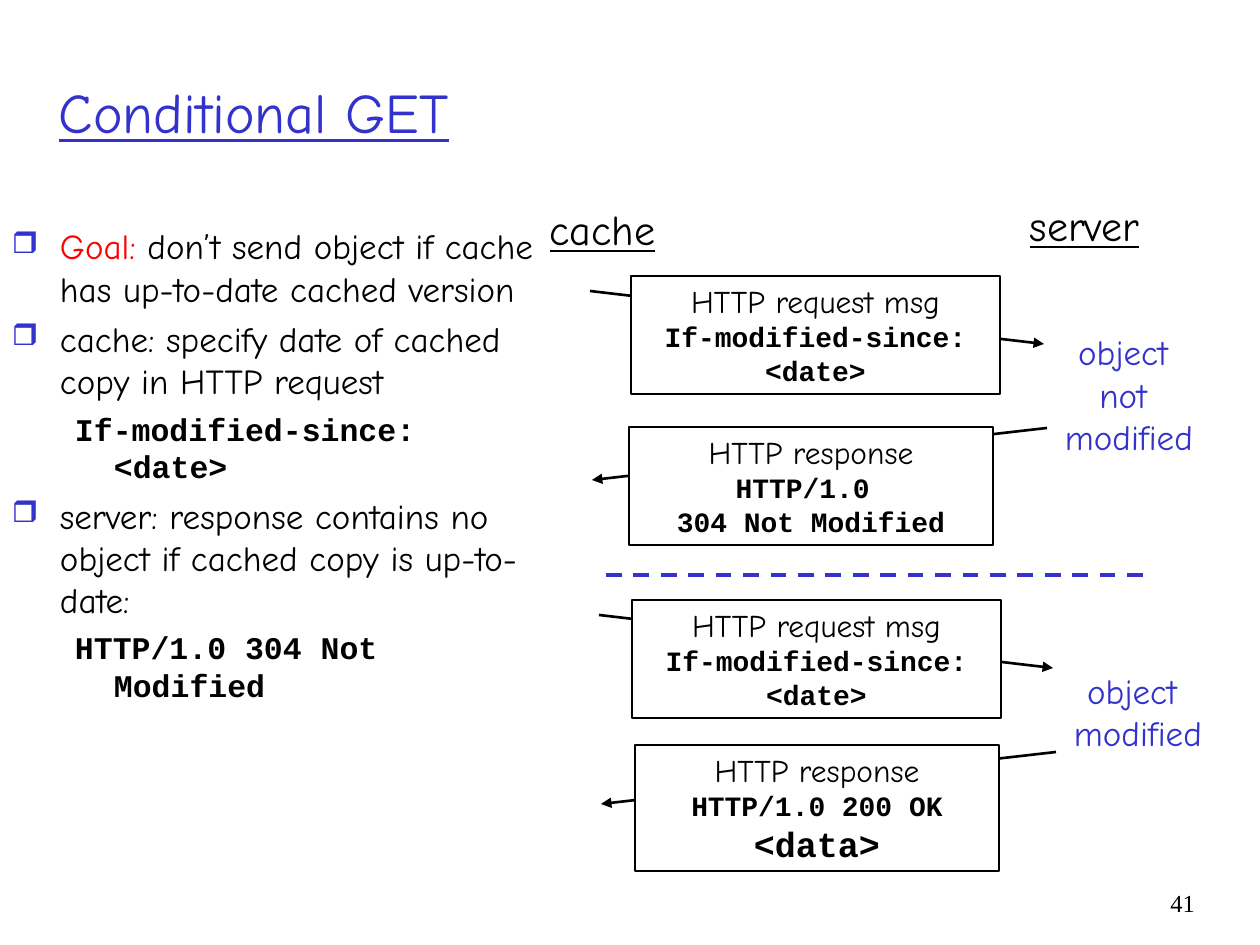
from lxml import etree
from pptx import Presentation
from pptx.dml.color import RGBColor
from pptx.enum.dml import MSO_LINE
from pptx.enum.shapes import MSO_CONNECTOR, MSO_SHAPE
from pptx.enum.text import MSO_ANCHOR, MSO_AUTO_SIZE, MSO_UNDERLINE, PP_ALIGN
from pptx.oxml.ns import qn
from pptx.util import Pt

PX = 914400 / 126
LEFT, CENTER, RIGHT = PP_ALIGN.LEFT, PP_ALIGN.CENTER, PP_ALIGN.RIGHT
TOP, MIDDLE = MSO_ANCHOR.TOP, MSO_ANCHOR.MIDDLE
FIXED, GROW = MSO_AUTO_SIZE.NONE, MSO_AUTO_SIZE.SHAPE_TO_FIT_TEXT
STRAIGHT, RECTANGLE = MSO_CONNECTOR.STRAIGHT, MSO_SHAPE.RECTANGLE
DASH, UNDERLINE = MSO_LINE.DASH, MSO_UNDERLINE.SINGLE_LINE
COLORS = {"ink": "000000", "paper": "FFFFFF", "accent": "3333CC", "goal": "FF0000"}
HAND, CODE = "Comic Neue", "Courier New"
FORMATS = {
    "title": {"name": HAND, "size": Pt(32), "underline": UNDERLINE},
    "heading": {"name": HAND, "size": Pt(24), "underline": UNDERLINE},
    "body": {"name": HAND, "size": Pt(20)},
    "message": {"name": HAND, "size": Pt(18)},
    "body_code": {"name": CODE, "size": Pt(18), "bold": True},
    "code": {"name": CODE, "size": Pt(16), "bold": True},
    "data": {"name": CODE, "size": Pt(20), "bold": True},
    "number": {"name": "Times New Roman", "size": Pt(14)},
}
BULLET = {"margin": 48, "hanging": 48, "space": 5, "mark": "❒"}
SUBITEM = {"margin": 102, "hanging": 39, "space": 4.5, "mark": None}
REQUEST = [[("HTTP request msg", "message", "ink")],
           [("If-modified-since: <date>", "code", "ink")]]


def px(length):
    return round(length * PX)


def color(key):
    return RGBColor.from_string(COLORS[key])


def fill_text(frame, paragraphs, align, anchor=TOP, wrap=True):
    layout = {"word_wrap": wrap, "auto_size": FIXED if wrap else GROW,
              "vertical_anchor": anchor,
              "margin_left": px(12), "margin_right": px(12),
              "margin_top": px(6), "margin_bottom": px(6)}
    for attribute, value in layout.items():
        setattr(frame, attribute, value)
    for index, runs in enumerate(paragraphs):
        paragraph = frame.add_paragraph() if index else frame.paragraphs[0]
        paragraph.alignment = align
        for words, style, ink in runs:
            run = paragraph.add_run()
            run.text = words
            run.font.color.rgb = color(ink)
            for attribute, value in FORMATS[style].items():
                setattr(run.font, attribute, value)


def add_text(slide, box, paragraphs, align=LEFT, **layout):
    frame = slide.shapes.add_textbox(*map(px, box)).text_frame
    fill_text(frame, paragraphs, align, **layout)
    return frame


def add_line(slide, start, end, ink, width, dash=None, arrow=False):
    line = slide.shapes.add_connector(STRAIGHT, *map(px, start + end))
    line.line.color.rgb = color(ink)
    line.line.width = Pt(width)
    line.line.dash_style = dash
    if arrow:
        etree.SubElement(line.line._get_or_add_ln(), qn("a:tailEnd"), type="triangle")
    etree.SubElement(line._element.spPr, qn("a:effectLst"))


def add_message(slide, box, paragraphs):
    message = slide.shapes.add_shape(RECTANGLE, *map(px, box))
    message.shadow.inherit = False
    message.fill.solid()
    message.fill.fore_color.rgb = color("paper")
    message.line.color.rgb = color("ink")
    message.line.width = Pt(0.75)
    fill_text(message.text_frame, paragraphs, CENTER)


def indent(paragraph, margin, hanging, space, mark):
    paragraph.space_before = Pt(space)
    properties = paragraph._p.get_or_add_pPr()
    properties.set("marL", str(px(margin)))
    properties.set("indent", str(-px(hanging)))
    if mark:
        tint = etree.SubElement(properties, qn("a:buClr"))
        etree.SubElement(tint, qn("a:srgbClr"), val=COLORS["accent"])
        etree.SubElement(properties, qn("a:buSzPct"), val="85000")
        etree.SubElement(properties, qn("a:buChar"), char=mark)
    else:
        etree.SubElement(properties, qn("a:buNone"))


def add_explanation(slide, box):
    items = [
        (BULLET, [("Goal:", "body", "goal"),
                  (" don’t send object if cache has up-to-date cached version",
                   "body", "ink")]),
        (BULLET, [("cache: specify date of cached copy in HTTP request", "body", "ink")]),
        (SUBITEM, [("If-modified-since: <date>", "body_code", "ink")]),
        (BULLET, [("server: response contains no object if cached copy is up-to-date:",
                   "body", "ink")]),
        (SUBITEM, [("HTTP/1.0 304 Not Modified", "body_code", "ink")]),
    ]
    frame = add_text(slide, box, [runs for _, runs in items])
    for paragraph, (level, _) in zip(frame.paragraphs, items):
        indent(paragraph, **level)


def add_exchange(slide, left, top, request_box, response_box, response, outcome_box, outcome):
    def place(box):
        x, y, width, height = box
        return left + x, top + y, width, height

    add_line(slide, (left, top + 15), (left + 454, top + 68), "ink", 1.5, arrow=True)
    add_message(slide, place(request_box), REQUEST)
    add_line(slide, (left + 457, top + 152), (left + 2, top + 204), "ink", 1.5, arrow=True)
    add_message(slide, place(response_box),
                [[("HTTP response", "message", "ink")]]
                + [[(words, style, "ink")] for words, style in response])
    add_text(slide, place(outcome_box),
             [[(words, "body", "accent")] for words in outcome], CENTER, wrap=False)


def add_diagram(slide, left, top):
    for words, x, y, width in (("cache", 0, 4, 131), ("server", 480, 0, 135)):
        add_text(slide, (left + x, top + y, width, 63),
                 [[(words, "heading", "ink")]], CENTER, wrap=False)
    add_exchange(slide, left + 53, top + 82, (41, 0, 369, 118), (39, 151, 364, 118),
                 [("HTTP/1.0 ", "code"), ("304 Not Modified", "code")],
                 (463, 49, 152, 139), ["object ", "not ", "modified"])
    add_line(slide, (left + 69, top + 381), (left + 607, top + 381),
             "accent", 2.25, dash=DASH)
    add_exchange(slide, left + 62, top + 406, (33, 0, 369, 118), (36, 145, 364, 126),
                 [("HTTP/1.0 200 OK", "code"), ("<data>", "data")],
                 (463, 63, 152, 97), ["object ", "modified"])


def main():
    deck = Presentation()
    deck.slide_width, deck.slide_height = px(1260), px(945)
    slide = deck.slides.add_slide(deck.slide_layouts[6])
    add_text(slide, (47, 32, 1097, 158),
             [[("Conditional GET", "title", "accent")]], anchor=MIDDLE)
    add_explanation(slide, (0, 219, 557, 593))
    add_diagram(slide, 537, 194)
    add_text(slide, (1144, 882, 63, 63), [[("41", "number", "ink")]], RIGHT)
    deck.save("out.pptx")


if __name__ == "__main__":
    main()
